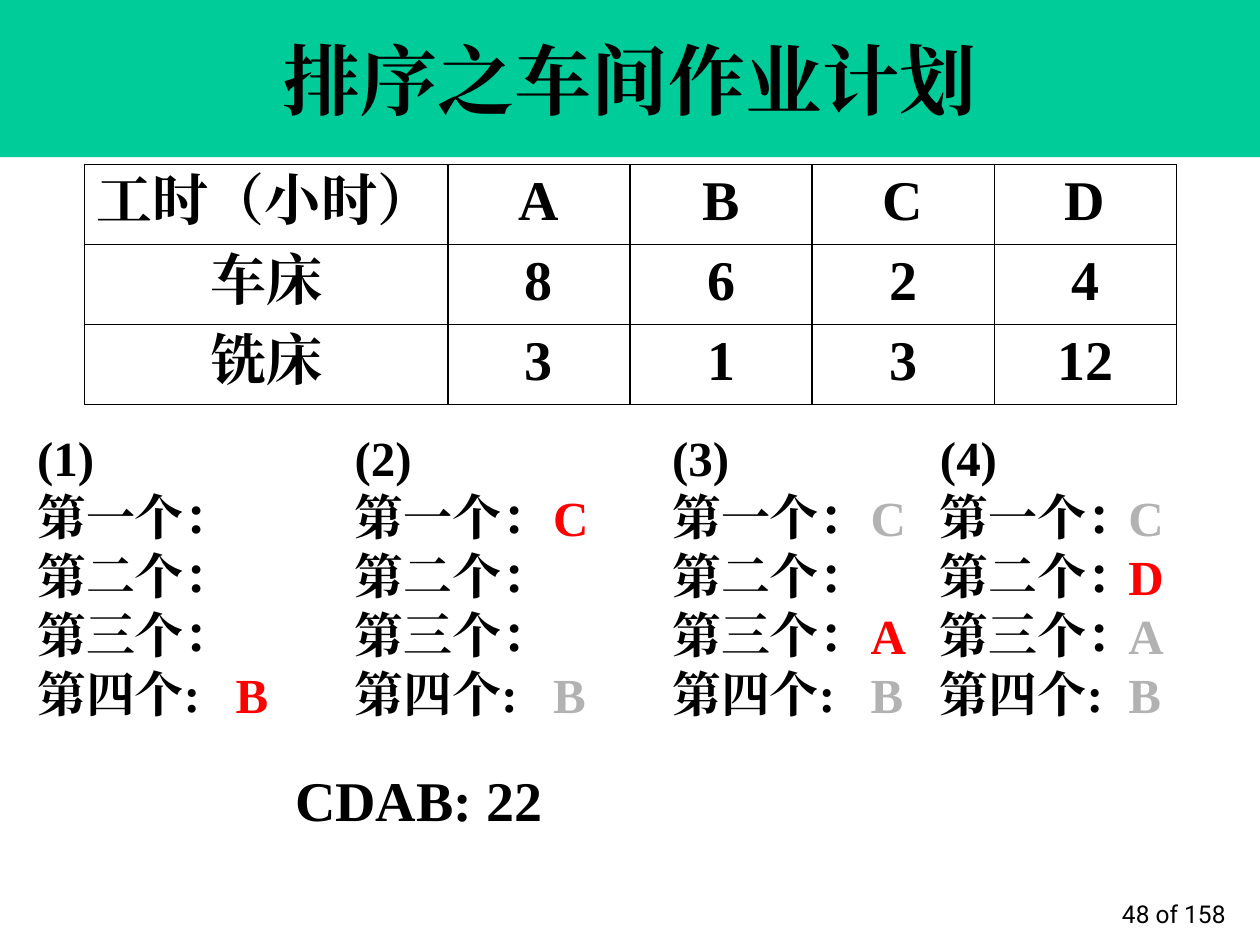
"""Build the job-shop scheduling slide with its hours table and four ordering steps."""
from pptx import Presentation
from pptx import util as u
from pptx.dml.color import RGBColor
from pptx.enum import text
from pptx.oxml import parse_xml
from pptx.oxml.ns import nsdecls, qn

BLACK = RGBColor(0, 0, 0)
GREEN = RGBColor(0, 0xCC, 0x99)
RED = RGBColor(0xFF, 0, 0)
GREY = RGBColor(0xB2, 0xB2, 0xB2)
LEFT, CENTER, RIGHT = text.PP_ALIGN.LEFT, text.PP_ALIGN.CENTER, text.PP_ALIGN.RIGHT


def write(frame, lines, size, color=BLACK, align=LEFT, face="Times New Roman", bold=True):
    frame.text = "\n".join(lines)
    style = {"name": face, "size": u.Pt(size), "bold": bold}
    for paragraph in frame.paragraphs:
        paragraph.alignment = align
        for run in paragraph.runs:
            for key, value in style.items():
                setattr(run.font, key, value)
            run.font.color.rgb = color
            run.font._element.find(qn("a:latin")).addnext(
                parse_xml(f'<a:ea {nsdecls("a")} typeface="{face}"/>'))


def label(left, top, width, height, lines, size, wrap=False, **style):
    box = slide.shapes.add_textbox(u.Cm(left), u.Cm(top), u.Cm(width), u.Cm(height))
    box.text_frame.word_wrap = wrap
    write(box.text_frame, lines, size, **style)
    return box


deck = Presentation()
deck.slide_width, deck.slide_height = u.Cm(25.4), u.Cm(19.05)
slide = deck.slides.add_slide(deck.slide_layouts[5])

title = slide.shapes.title
title.left, title.top, title.width, title.height = u.Cm(0), u.Cm(0), u.Cm(25.4), u.Cm(3.17)
title.fill.solid()
title.fill.fore_color.rgb = GREEN
title.text_frame.vertical_anchor = text.MSO_ANCHOR.MIDDLE
write(title.text_frame, ["排序之车间作业计划"], 44, align=CENTER)

hours = [
    ["工时（小时）", "A", "B", "C", "D"],
    ["车床", "8", "6", "2", "4"],
    ["铣床", "3", "1", "3", "12"],
]
grid = slide.shapes.add_table(3, 5, u.Cm(1.7), u.Cm(3.32), u.Cm(22), u.Cm(4.83)).table
for index, column in enumerate(grid.columns):
    column.width = u.Cm(3.67 if index else 7.33)
for row, values in zip(grid.rows, hours):
    row.height = u.Cm(1.61)
    for cell, value in zip(row.cells, values):
        write(cell.text_frame, [value], 32, align=LEFT if value == hours[0][0] else CENTER)
        cell.fill.background()
        properties = cell._tc.get_or_add_tcPr()
        for position, side in enumerate(("lnL", "lnR", "lnT", "lnB")):
            properties.insert(position, parse_xml(
                f'<a:{side} {nsdecls("a")} w="9525"><a:solidFill>'
                f'<a:srgbClr val="{BLACK}"/></a:solidFill></a:{side}>'))

places = ["第一个：", "第二个：", "第三个：", "第四个:"]
steps = [
    (0.5, 4.5, {"B": RED}),
    (6.9, 10.9, {"C": RED, "B": GREY}),
    (13.3, 17.3, {"C": GREY, "A": RED, "B": GREY}),
    (18.7, 22.5, {"C": GREY, "D": RED, "A": GREY, "B": GREY}),
]
for number, (place_left, job_left, jobs) in enumerate(steps, 1):
    label(place_left, 8.5, 5.2, 6.2, [f"({number})", *places], 28, wrap=True)
    for job, color in jobs.items():
        label(job_left, 9.7 + 1.19 * "CDAB".index(job), 1.2, 1.45, [job], 28, color=color)

label(5.7, 15.3, 5.5, 1.6, ["CDAB: 22"], 32)
page = label(19.68, 17.58, 5.28, 1.27, ["48 of 158"], 14, wrap=True,
             align=RIGHT, face="Roboto", bold=False)
page.text_frame.vertical_anchor = text.MSO_ANCHOR.BOTTOM

deck.save("out.pptx")
